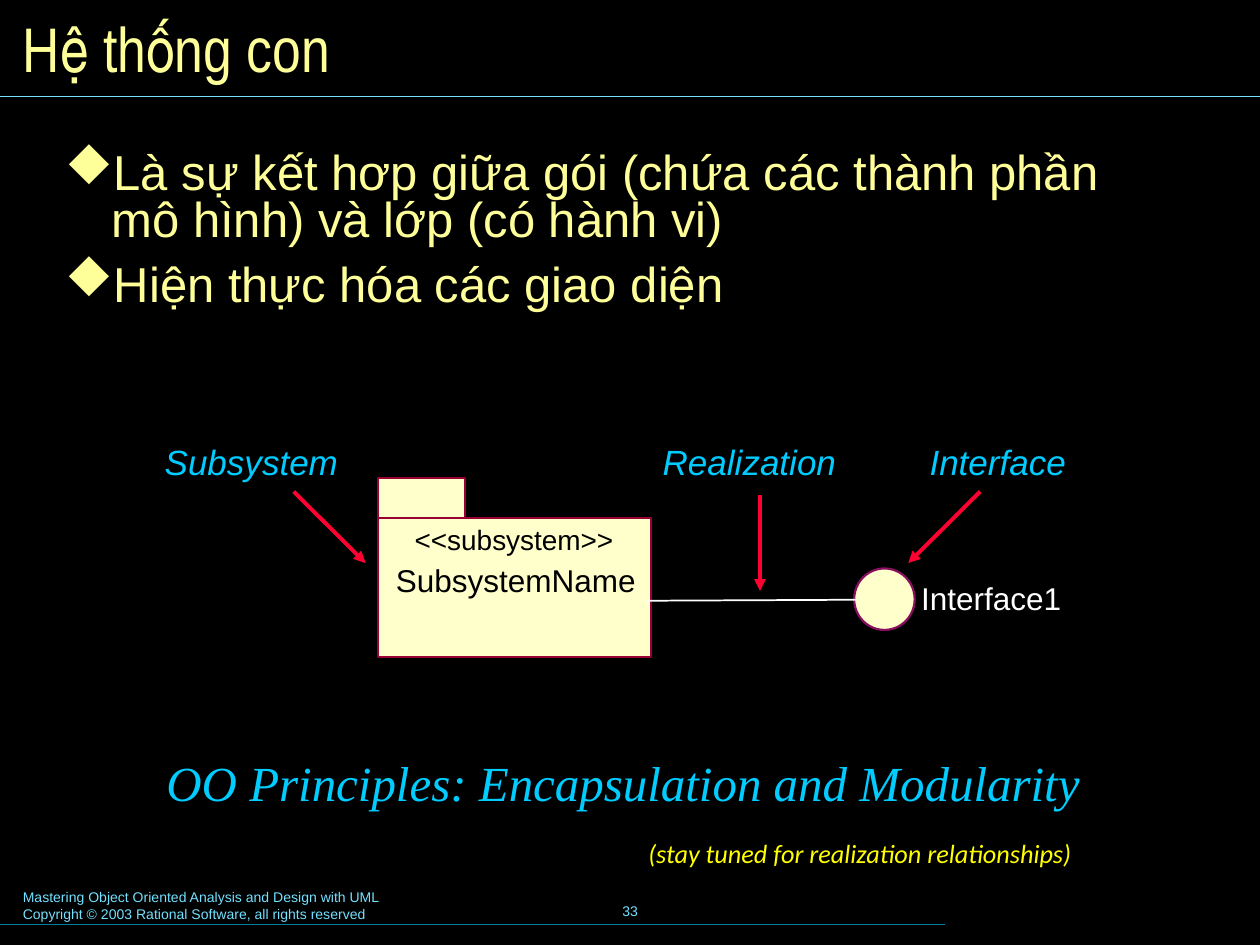
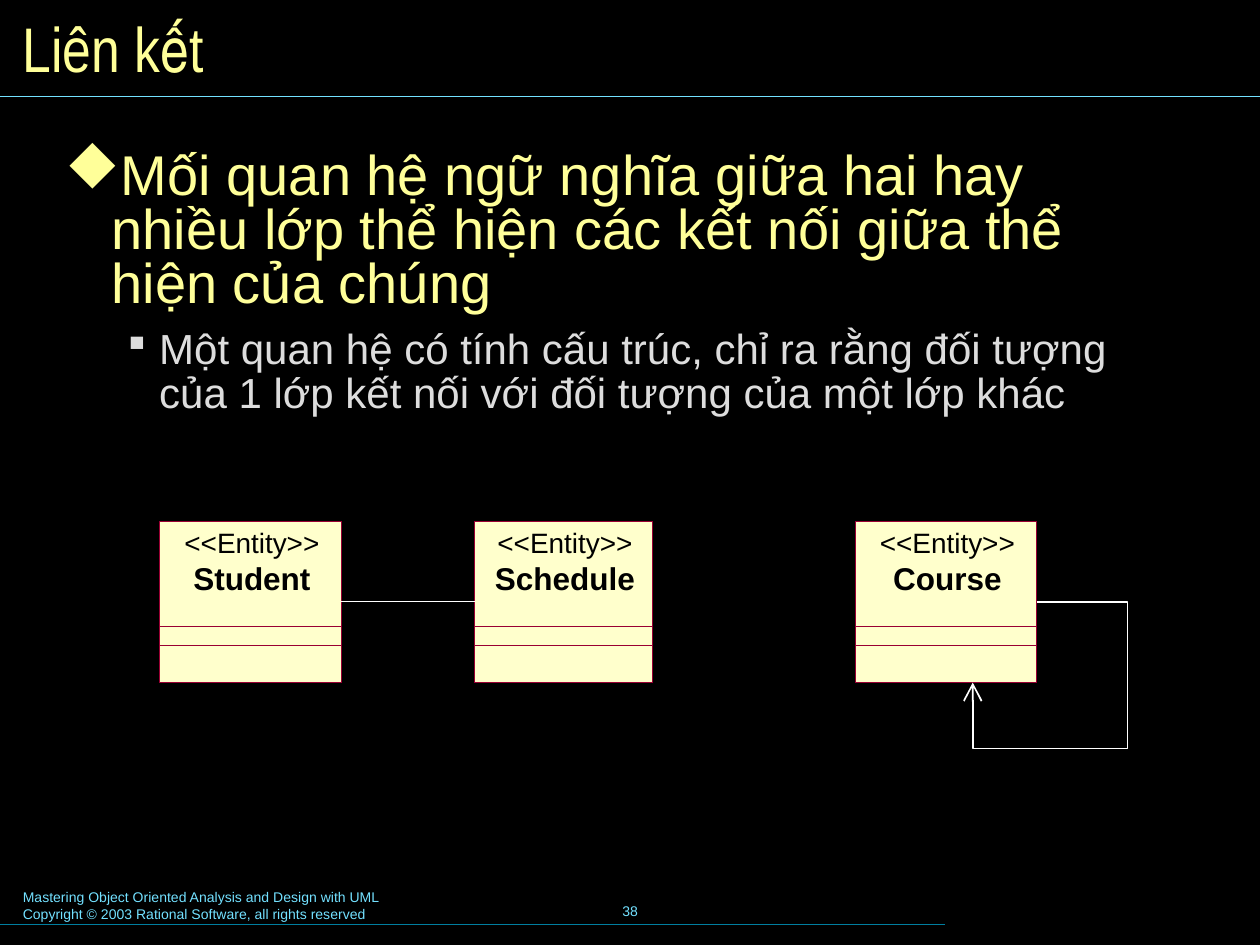
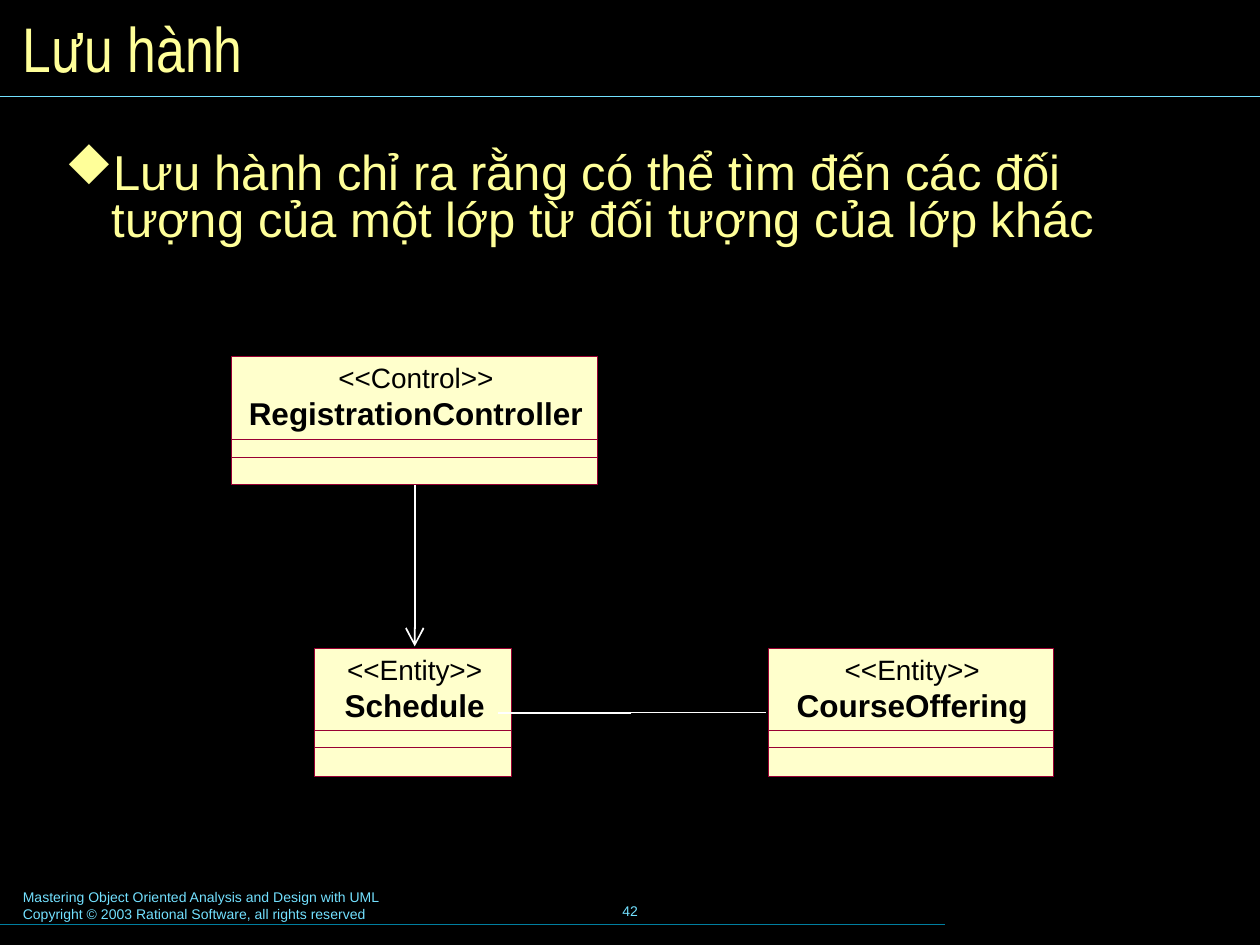
from collections import namedtuple
from dataclasses import dataclass

from lxml.etree import SubElement as Sub
from pptx import Presentation
from pptx.dml.color import RGBColor as Rgb
from pptx.enum.shapes import MSO_CONNECTOR as Link, MSO_SHAPE as Kind
from pptx.enum.text import MSO_ANCHOR as Anchor, PP_ALIGN as Align
from pptx.oxml.ns import qn
from pptx.util import Cm, Pt

Box = namedtuple("Box", "x y w h")
Type = namedtuple("Type", "size name tint bold italic", defaults=(False, False))
Mark = namedtuple("Mark", "sign left hang space gap")


@dataclass(frozen=True)
class Theme:
    back: str = "000000"
    rule: str = "73E1FF"
    base: str = "007E9F"
    cream: str = "FFFFCC"
    wine: str = "990033"
    plum: str = "8A0E5E"
    red: str = "FF0033"
    white: str = "FFFFFF"
    hair: float = 0.01
    signs: str = "Wingdings"
    title: Type = Type(36, "Arial Narrow", "FFFF99")
    foot: Type = Type(8, "Arial", "73E1FF")
    large: Type = Type(32, "Arial", "FFFF99")
    point: Type = Type(28, "Arial", "FFFF99")
    minor: Type = Type(24, "Arial", "DDDDDD")
    label: Type = Type(20, "Arial", "00CCFF", italic=True)
    motto: Type = Type(28, "Times New Roman", "00CCFF", italic=True)
    aside: Type = Type(15, "Calibri", "FFFF00", italic=True)
    stereo: Type = Type(16, "Arial", "000000")
    plain: Type = Type(18, "Arial", "000000")
    bold: Type = Type(18, "Arial", "000000", bold=True)
    light: Type = Type(18, "Arial", "FFFFFF")


T = Theme()
FLUSH, TIGHT, WIDE = (0, 0), (0.25, 0.13), (0.3, 0.15)
MARKS = {
    T.large: Mark("u", 0.94, -0.94, 0.8, 12),
    T.point: Mark("u", 0.94, -0.94, 0.8, 10.5),
    T.minor: Mark("§", 1.9, -0.64, 0.87, 9),
}
HEADS = {
    "triangle": {"type": "triangle"},
    "arrow": {"type": "arrow", "w": "lg", "len": "lg"},
}


def put(item, **values):
    for key, value in values.items():
        setattr(item, key, value)


def tint(code):
    return Rgb.from_string(code)


def cms(values):
    return [Cm(v) for v in values]


def stroke(shape, code, width, head=None):
    shape.line.color.rgb = tint(code)
    shape.line.width = Pt(width)
    if head:
        Sub(shape.line._get_or_add_ln(), qn("a:tailEnd"), **HEADS[head])


def style(part, kind):
    put(part.font, size=Pt(kind.size), name=kind.name,
        bold=kind.bold, italic=kind.italic)
    part.font.color.rgb = tint(kind.tint)


def write(slide, box, lines, kind, pad=FLUSH, align=Align.LEFT,
          anchor=Anchor.TOP):
    frame = slide.shapes.add_textbox(*cms(box)).text_frame
    side, top = cms(pad)
    put(frame, word_wrap=True, vertical_anchor=anchor, margin_left=side,
        margin_right=side, margin_top=top, margin_bottom=top)
    for i, line in enumerate(lines):
        para = frame.add_paragraph() if i else frame.paragraphs[0]
        para.alignment = align
        run = para.add_run()
        run.text = line
        style(run, kind)
    return frame


def line(slide, ends, code, width, head=None):
    link = slide.shapes.add_connector(Link.STRAIGHT, *cms(ends))
    stroke(link, code, width, head)
    Sub(link._element.spPr, qn("a:effectLst"))


def shape(slide, kind, box, code, width, fill=None):
    item = slide.shapes.add_shape(kind, *cms(box))
    item.shadow.inherit = False
    if fill:
        item.fill.solid()
        item.fill.fore_color.rgb = tint(fill)
    else:
        item.fill.background()
    stroke(item, code, width)


def route(slide, points, code, width, head):
    first, *rest = [cms(p) for p in points]
    path = slide.shapes.build_freeform(*first, scale=1)
    path.add_line_segments(rest, close=False)
    item = path.convert_to_shape()
    item.shadow.inherit = False
    item.fill.background()
    stroke(item, code, width, head)


def frame_page(deck, title, number):
    slide = deck.slides.add_slide(deck.slide_layouts[6])
    slide.background.fill.solid()
    slide.background.fill.fore_color.rgb = tint(T.back)
    write(slide, Box(0.21, 17.78, 12.95, 0.94),
          ["Mastering Object Oriented Analysis and Design with UML",
           "Copyright © 2003 Rational Software, all rights reserved"],
          T.foot, TIGHT)
    write(slide, Box(8.68, 17.73, 8.05, 1.27), [str(number)], T.foot, TIGHT,
          Align.CENTER, Anchor.MIDDLE)
    line(slide, (0, 18.63, 19.05, 18.63), T.base, 0.75)
    line(slide, (0, 1.94, 25.4, 1.94), T.rule, 0.75)
    write(slide, Box(0.21, 0.21, 25, 1.47), [title], T.title, TIGHT,
          anchor=Anchor.MIDDLE)
    return slide


def points(slide, box, items):
    frame = write(slide, box, [text for text, _ in items], T.point, WIDE)
    for i, (para, (_, kind)) in enumerate(zip(frame.paragraphs, items)):
        mark = MARKS[kind]
        props = para._p.get_or_add_pPr()
        props.set("marL", str(Cm(mark.left)))
        props.set("indent", str(Cm(mark.hang)))
        Sub(Sub(props, qn("a:buClr")), qn("a:srgbClr"), val=kind.tint)
        Sub(props, qn("a:buFont"), typeface=T.signs, charset="2")
        Sub(props, qn("a:buChar"), char=mark.sign)
        put(para, line_spacing=mark.space, space_before=Pt(mark.gap if i else 0))
        style(para.runs[0], kind)


def entity(slide, box, stereo, name, feet):
    x, y, w, h = box
    shape(slide, Kind.RECTANGLE, box, T.wine, T.hair, T.cream)
    for foot in feet:
        shape(slide, Kind.RECTANGLE, Box(x, y + h - foot, w, foot), T.wine,
              T.hair)
    for text, kind, drop in ((stereo, T.stereo, 0.08), (name, T.bold, 0.75)):
        write(slide, Box(x + 0.03, y + drop, w, 0.72), [text], kind,
              align=Align.CENTER)


def package(slide, x, y):
    for box in (Box(x, y + 0.81, 5.51, 2.81), Box(x, y, 1.75, 0.81)):
        shape(slide, Kind.RECTANGLE, box, T.wine, 1, T.cream)
    write(slide, Box(x + 0.36, y + 1.67, 5, 0.76), ["SubsystemName"], T.plain)
    write(slide, Box(x + 0.74, y + 0.91, 4.2, 0.69), ["<<subsystem>>"], T.stereo)


def subsystem(slide, x, y):
    labels = (
        ("Subsystem", 0, 4.45, (2.9, 1.17, 4.35, 2.61)),
        ("Realization", 10.04, 4.45, (12.3, 1.24, 12.3, 3.17)),
        ("Interface", 15.42, 3.61, (16.74, 1.17, 15.29, 2.61)),
    )
    for text, left, wide, (x1, y1, x2, y2) in labels:
        write(slide, Box(x + left, y, wide, 1.14), [text], T.label, WIDE)
        line(slide, (x + x1, y + y1, x + x2, y + y2), T.red, 2.25, "triangle")
    package(slide, x + 4.6, y + 0.89)
    shape(slide, Kind.OVAL, Box(x + 14.2, y + 2.72, 1.22, 1.24), T.plum, 1.25,
          T.cream)
    write(slide, Box(x + 15.55, y + 2.94, 3.2, 0.76), ["Interface1"], T.light)
    line(slide, (x + 14.25, y + 3.35, x + 10.01, y + 3.37), T.white, 1)


def links(slide, x, y):
    high, feet = 3.25, (1.13, 0.74)
    for name, left, wide in (("Student", 0, 3.68), ("Schedule", 6.36, 3.58),
                             ("Course", 14.03, 3.66)):
        entity(slide, Box(x + left, y, wide, high), "<<Entity>>", name, feet)
    mid = y + high / 2
    line(slide, (x + 3.68, mid, x + 6.36, mid), T.white, T.hair)
    right, low, turn = x + 19.52, y + 4.58, x + 16.4
    route(slide, [(x + 17.69, mid), (right, mid), (right, low), (turn, low),
                  (turn, y + high)], T.white, 1, "arrow")


def travel(slide, x, y):
    high, drop = 2.57, 5.89
    line(slide, (x + 3.69, y + high, x + 3.69, y + drop - 0.05), T.white, 1,
         "arrow")
    entity(slide, Box(x, y, 7.37, high), "<<Control>>",
           "RegistrationController", (0.89, 0.53))
    for name, left, wide in (("CourseOffering", 10.82, 5.74),
                             ("Schedule", 1.68, 3.96)):
        entity(slide, Box(x + left, y + drop, wide, high), "<<Entity>>", name,
               (0.93, 0.58))
    for end, width in ((5.36, 1), (10.77, T.hair)):
        line(slide, (x + 8.06, y + 7.18, x + end, y + 7.18), T.white, width)


def main():
    deck = Presentation()
    put(deck, slide_width=Cm(25.4), slide_height=Cm(19.05))

    slide = frame_page(deck, "Hệ thống con", 33)
    points(slide, Box(1.01, 2.93, 22.5, 10.41), [
        ("Là sự kết hơp giữa gói (chứa các thành phần mô hình) và lớp "
         "(có hành vi)", T.point),
        ("Hiện thực hóa các giao diện", T.point)])
    subsystem(slide, 3.02, 8.74)
    write(slide, Box(1.98, 15.02, 21.16, 1.5),
          ["OO Principles: Encapsulation and Modularity"], T.motto, WIDE,
          Align.CENTER)
    write(slide, Box(12.77, 16.73, 9.96, 1.57),
          ["(stay tuned for realization relationships)"], T.aside, WIDE)

    slide = frame_page(deck, "Liên kết", 38)
    points(slide, Box(1.01, 2.93, 22.81, 14.02), [
        ("Mối quan hệ ngữ nghĩa giữa hai hay nhiều lớp thể hiện các kết nối "
         "giữa thể hiện của chúng", T.large),
        ("Một quan hệ có tính cấu trúc, chỉ ra rằng đối tượng của 1 lớp kết "
         "nối với đối tượng của một lớp khác", T.minor)])
    links(slide, 3.21, 10.51)

    slide = frame_page(deck, "Lưu hành", 42)
    points(slide, Box(1.01, 2.93, 23.11, 7.54), [
        ("Lưu hành chỉ ra rằng có thể tìm đến các đối tượng của một lớp từ "
         "đối tượng của lớp khác", T.point)])
    travel(slide, 4.67, 7.19)

    deck.save("out.pptx")


if __name__ == "__main__":
    main()
